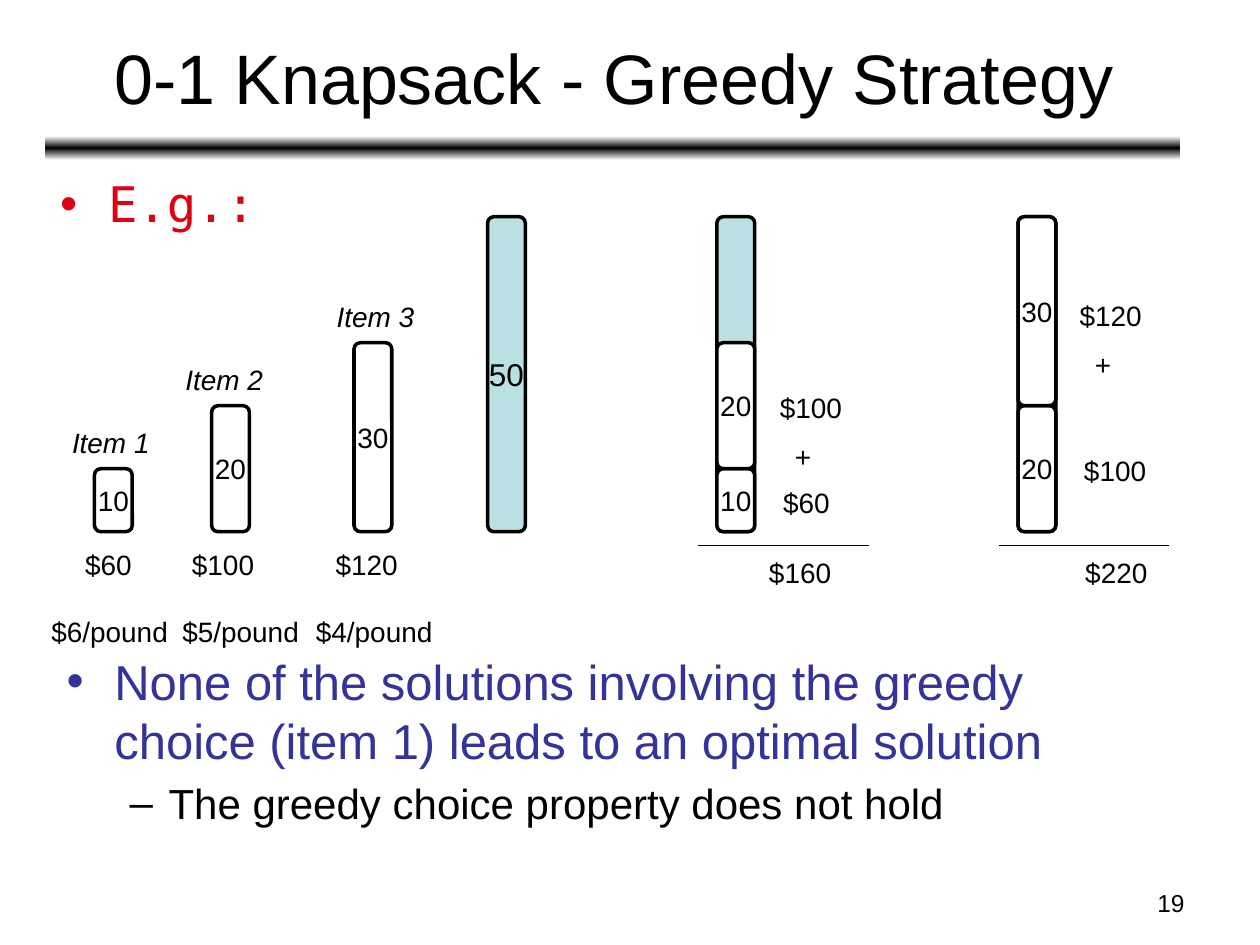
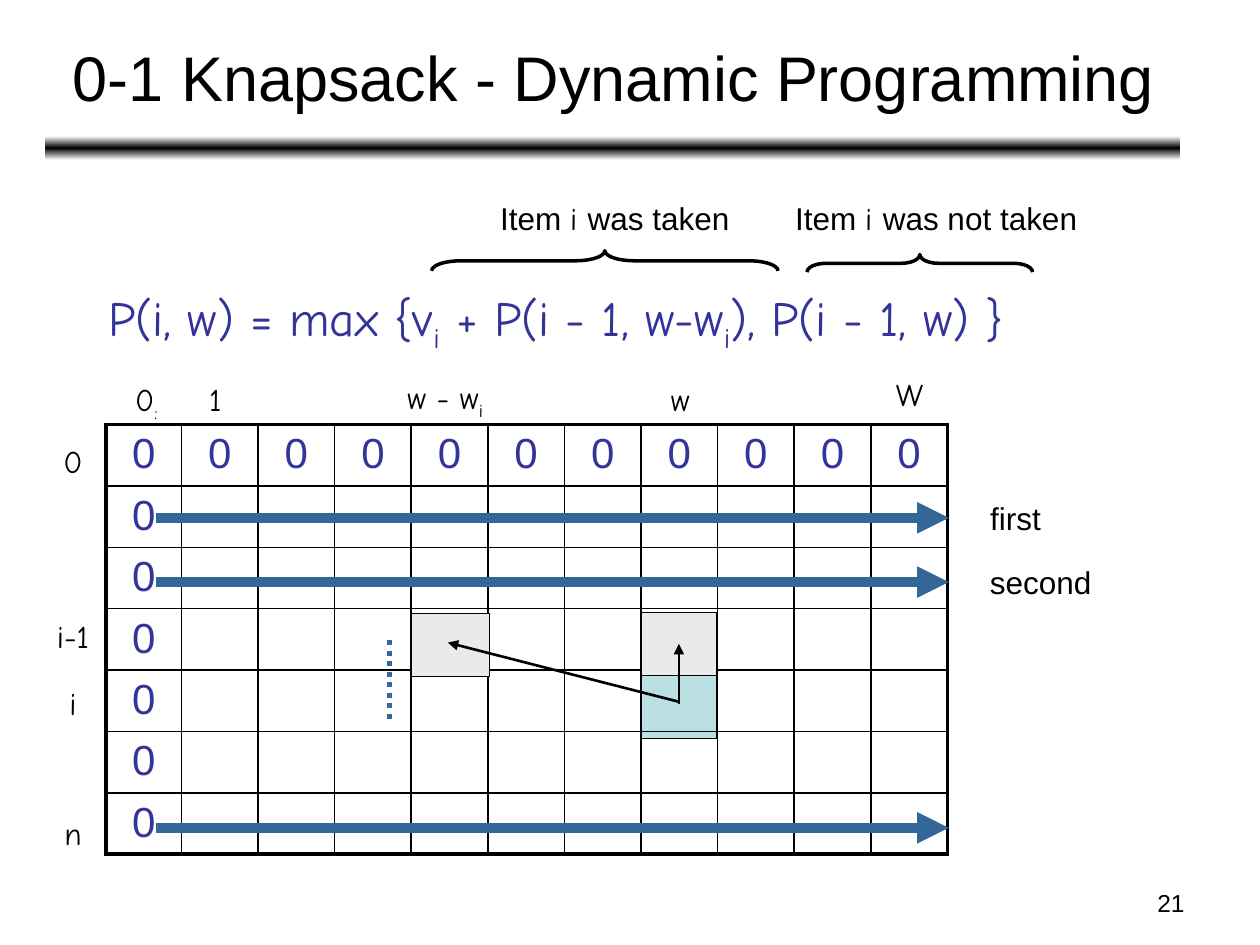
from copy import deepcopy
from dataclasses import dataclass
from lxml.etree import SubElement
from pptx import Presentation
from pptx.dml.color import RGBColor
from pptx.enum.dml import MSO_LINE
from pptx.enum.shapes import MSO_CONNECTOR, MSO_SHAPE
from pptx.enum.text import MSO_ANCHOR, PP_ALIGN
from pptx.oxml import parse_xml
from pptx.oxml.ns import nsdecls, qn
from pptx.util import Inches, Pt


@dataclass(frozen=True)
class Theme:
    ink: str = "000000"
    paper: str = "FFFFFF"
    red: str = "DD0111"
    blue: str = "333399"
    aqua: str = "BBE0E3"
    gray: str = "EAEAEA"
    steel: str = "336699"
    sans: str = "Arial"
    hand: str = "Comic Neue"
    mono: str = "DejaVu Sans Mono"
    small: int = 14
    note: int = 16
    label: int = 18
    sub: int = 24
    body: int = 28


T = Theme()
HAND = {"name": T.hand}
LOW = {"name": T.hand, "base": -25000}
LEFT, MID, RIGHT = PP_ALIGN.LEFT, PP_ALIGN.CENTER, PP_ALIGN.RIGHT

# Greedy slide: weight, bar left, label centre, price centre, price, rate, rate centre
ITEMS = [
    (10, 0.75, 0.88, 0.86, "$60", "$6/pound", 0.87),
    (20, 1.68, 1.78, 1.77, "$100", "$5/pound", 1.91),
    (30, 2.81, 2.98, 2.91, "$120", "$4/pound", 2.97),
]
# Bar left, weights from the bottom up, rule (left, width)
PACKS = [
    (3.87, [], None),
    (5.69, [10, 20], (5.54, 1.36)),
    (8.08, [20, 30], (7.93, 1.35)),
]
# Prices beside the packs: text, centre x, centre y
PRICES = [
    ("$60", 6.4, 3.99), ("$160", 6.35, 4.54),
    ("$100", 8.85, 3.73), ("$220", 8.86, 4.54),
]
SUMS = [("$100", 6.09, 3.05), ("$120", 8.47, 2.32)]
BASE, UNIT, BAR = 4.22, 0.05, 0.3

# Table slide: a grid with a slightly narrower first column
ROWS, COLS = 7, 11
LEFT_X, TOP_Y, WIDE, HIGH, FIRST = 0.84, 3.37, 6.68, 3.41, 0.6
COL, ROW = (WIDE - FIRST) / (COLS - 1), HIGH / ROWS
HEADS = [
    ([("0", HAND), (":", LOW)], 0.53, 3.19),
    ([("1", HAND)], 1.43, 3.17),
    ([("w - w", HAND), ("i", LOW)], 4.43, 3.17),
    ([("w", HAND)], 7.5, 3.17),
    ([("W", HAND)], 10.49, 3.13),
]
SIDES = [("0", 0.6), ("i-1", 3.45), ("i", 4.54), ("n", 6.66)]
FORMULA = [
    ("P(i, w) = max {v", HAND), ("i", LOW), (" + P(i - 1, w-w", HAND),
    ("i", LOW), ("), P(i - 1, w) }", HAND),
]
# Ending of the note, note centre x, brace centre x and y, length, depth, curve
CASES = [
    ("was taken", 4.88, 4.8, 2.07, 2.75, 0.16, 1.47),
    ("was not taken", 7.43, 7.3, 2.09, 1.79, 0.14, 1.06),
]
PASSES = [("first", 8.06, 4.11), ("second", 8.26, 4.62), (None, 0, 6.57)]


def inch(*nums):
    return [Inches(n) for n in nums]


def rgb(code):
    return RGBColor.from_string(code)


def write(para, runs, **look):
    """Add runs, each a string or a (string, changes) pair."""
    for part in runs:
        words, diff = (part, {}) if isinstance(part, str) else part
        form = {"name": T.sans, "size": T.label, "color": T.ink, **look, **diff}
        run = para.add_run()
        run.text = words
        base = form.pop("base", None)
        if base:
            run._r.get_or_add_rPr().set("baseline", str(base))
        run.font.color.rgb = rgb(form.pop("color"))
        form["size"] = Pt(form["size"])
        for key, val in form.items():
            setattr(run.font, key, val)


def frame(shape, wrap=True, anchor=MSO_ANCHOR.TOP, align=LEFT):
    text = shape.text_frame
    for key, val in {"word_wrap": wrap, "vertical_anchor": anchor}.items():
        setattr(text, key, val)
    text.paragraphs[0].alignment = align
    return text


def block(slide, box, runs, anchor=MSO_ANCHOR.TOP, align=LEFT, **look):
    text = frame(slide.shapes.add_textbox(*inch(*box)), True, anchor, align)
    write(text.paragraphs[0], runs, **look)
    return text


def label(slide, runs, x, y, wide=1.1, **look):
    """Put one line of text around the centre x, y."""
    box = slide.shapes.add_textbox(*inch(x - wide / 2, y - 0.2, wide, 0.4))
    text = frame(box, False, MSO_ANCHOR.MIDDLE, MID)
    write(text.paragraphs[0], runs, **look)


def indent(para, left, hang=0, mark=None, size=T.body):
    para.space_before = Pt(size * 0.2)
    props = para._p.get_or_add_pPr()
    props.set("marL", str(Inches(left)))
    props.set("indent", str(Inches(-hang)))
    if mark:
        SubElement(props, qn("a:buFont")).set("typeface", T.sans)
        SubElement(props, qn("a:buChar")).set("char", mark)


def solid(slide, kind, box, fill, width):
    shape = slide.shapes.add_shape(kind, *inch(*box))
    shape.shadow.inherit = False
    if fill:
        shape.fill.solid()
        shape.fill.fore_color.rgb = rgb(fill)
    else:
        shape.fill.background()
    shape.line.color.rgb = rgb(T.ink)
    shape.line.width = Pt(width)
    return shape


def line(slide, start, end, width, color=T.ink, head=False, dash=None):
    link = slide.shapes.add_connector(MSO_CONNECTOR.STRAIGHT, *inch(*start, *end))
    link.line.color.rgb = rgb(color)
    link.line.width = Pt(width)
    if dash:
        link.line.dash_style = dash
    if head:
        SubElement(link.line._get_or_add_ln(), qn("a:tailEnd")).set("type", "triangle")
    SubElement(link._element.spPr, qn("a:effectLst"))


def band(slide):
    shape = slide.shapes.add_shape(
        MSO_SHAPE.ROUNDED_RECTANGLE, *inch(0.36, 1.08, 9.01, 0.19))
    shape.shadow.inherit = False
    shape.line.fill.background()
    shape.fill.gradient()
    shape.fill.gradient_angle = 90
    first = shape.fill.gradient_stops[0]._gs
    first.addnext(deepcopy(first))
    for stop, (place, color) in zip(
            shape.fill.gradient_stops, [(0, T.paper), (0.5, T.ink), (1, T.paper)]):
        stop.position = place
        stop.color.rgb = rgb(color)


def begin(deck, title, size, page):
    slide = deck.slides.add_slide(deck.slide_layouts[6])
    band(slide)
    block(slide, (7.17, 7, 2.33, 0.35), [page], align=RIGHT, size=T.small)
    block(slide, (0.37, 0.11, 9, 0.99), [title], MSO_ANCHOR.MIDDLE, MID, size=size)
    return slide


def bar(slide, x, weight, below=0, fill=T.paper, size=T.note, show=True):
    """Draw a weight as a bar standing on the weight below it."""
    top = BASE - (below + weight) * UNIT
    shape = solid(slide, MSO_SHAPE.ROUNDED_RECTANGLE,
                  (x, top, BAR, weight * UNIT), fill, 2)
    if show:
        text = frame(shape, False, MSO_ANCHOR.MIDDLE, MID)
        write(text.paragraphs[0], [str(weight)], size=size)
    return top


def greedy(deck):
    slide = begin(deck, "0-1 Knapsack - Greedy Strategy", 40, "19")
    text = block(slide, (0.38, 1.33, 9, 1.18), ["E.g.:"],
                 name=T.mono, size=T.body, color=T.red)
    indent(text.paragraphs[0], 0.38, 0.38, "•")
    for num, (weight, x, name_x, cost_x, cost, rate, rate_x) in enumerate(ITEMS, 1):
        top = bar(slide, x, weight)
        label(slide, [f"Item {num}"], name_x, top - 0.21, size=T.note, italic=True)
        label(slide, [cost], cost_x, 4.48, size=T.note)
        label(slide, [rate], rate_x, 5.01, 1.3, size=T.note)
    for x, load, rule in PACKS:
        bar(slide, x, 50, fill=T.aqua, size=T.label, show=not load)
        for num, weight in enumerate(load):
            bar(slide, x, weight, sum(load[:num]))
        if rule:
            left, wide = rule
            line(slide, (left, 4.33), (left + wide, 4.33), 0.75)
    for cost, x, y in PRICES:
        label(slide, [cost], x, y, size=T.note)
    for cost, x, y in SUMS:
        box = slide.shapes.add_textbox(*inch(x, y, 0.69, 0.77))
        text = frame(box, False)
        write(text.paragraphs[0], [cost], size=T.note)
        plus = text.add_paragraph()
        indent(plus, 0.12)
        plus.space_before = Pt(9)
        write(plus, ["+"], size=T.note)
    text = block(slide, (0.43, 5.12, 9, 2.05),
                 ["None of the solutions involving the greedy choice (item 1) "
                  "leads to an optimal solution"], size=T.body, color=T.blue)
    indent(text.paragraphs[0], 0.38, 0.38, "•")
    point = text.add_paragraph()
    point.level = 1
    indent(point, 0.81, 0.31, "–", T.sub)
    write(point, ["The greedy choice property does not hold"], size=T.sub)


def edge(cell, row, col):
    """Give a cell thin borders, thick along the rim of the table."""
    rim = {"L": col == 0, "R": col == COLS - 1, "T": row == 0, "B": row == ROWS - 1}
    for num, (side, thick) in enumerate(rim.items()):
        width = Pt(2.25 if thick else 1)
        cell._tc.get_or_add_tcPr().insert(num, parse_xml(
            f'<a:ln{side} {nsdecls("a")} w="{width}"><a:solidFill>'
            f'<a:srgbClr val="{T.ink}"/></a:solidFill></a:ln{side}>'))


def grid(slide):
    table = slide.shapes.add_table(
        ROWS, COLS, *inch(LEFT_X, TOP_Y, WIDE, HIGH)).table
    table.first_row = table.horz_banding = False
    for num, col in enumerate(table.columns):
        col.width = Inches(COL if num else FIRST)
    for num, row in enumerate(table.rows):
        row.height = Inches(ROW)
        for at, cell in enumerate(row.cells):
            cell.fill.background()
            cell.margin_bottom = 0
            edge(cell, num, at)
            if num == 0 or at == 0:
                para = cell.text_frame.paragraphs[0]
                para.alignment = MID
                write(para, ["0"], size=T.sub, color=T.blue)


def dynamic(deck):
    slide = begin(deck, "0-1 Knapsack - Dynamic Programming", 36, "21")
    now, old = [LEFT_X + FIRST + COL * (n - 1) for n in (7, 4)]
    prev, size = TOP_Y + 1.49, 0.5
    solid(slide, MSO_SHAPE.RECTANGLE, (now, prev + size, 0.6, size), T.aqua, 0.75)
    grid(slide)
    for runs, col, y in HEADS:
        label(slide, runs, LEFT_X + col * COL, y)
    for words, row in SIDES:
        label(slide, [(words, HAND)], 0.58, TOP_Y + row * ROW)
    text = block(slide, (0.38, 2.23, 9, 0.79), FORMULA, size=T.body, color=T.blue)
    indent(text.paragraphs[0], 0.38)
    for words, x, mid, y, span, deep, curve in CASES:
        label(slide, ["Item ", ("i ", HAND), words], x, 1.73, 2.8)
        brace = solid(slide, MSO_SHAPE.LEFT_BRACE,
                      (mid - deep / 2, y - span / 2, deep, span), None, 2)
        brace.rotation = 90
        brace.adjustments[0] = curve
    for x, top, wide in [(now, prev, 0.6), (old, prev + 0.01, 0.62)]:
        solid(slide, MSO_SHAPE.RECTANGLE, (x, top, wide, size), T.gray, 0.75)
    heart = now + 0.3
    line(slide, (heart, 5.59), (heart, 5.11), 1.5, head=True)
    line(slide, (heart, 5.57), (old + 0.29, 5.1), 1.5, head=True)
    for words, x, y in PASSES:
        line(slide, (1.24, y), (7.53, y), 6, T.steel, head=True)
        if words:
            label(slide, [words], x, y, 1.4)
    line(slide, (3.09, 5.08), (3.09, 5.74), 3, T.steel, dash=MSO_LINE.ROUND_DOT)


def main():
    deck = Presentation()
    deck.slide_width, deck.slide_height = inch(10, 7.5)
    greedy(deck)
    dynamic(deck)
    deck.save("out.pptx")


if __name__ == "__main__":
    main()
